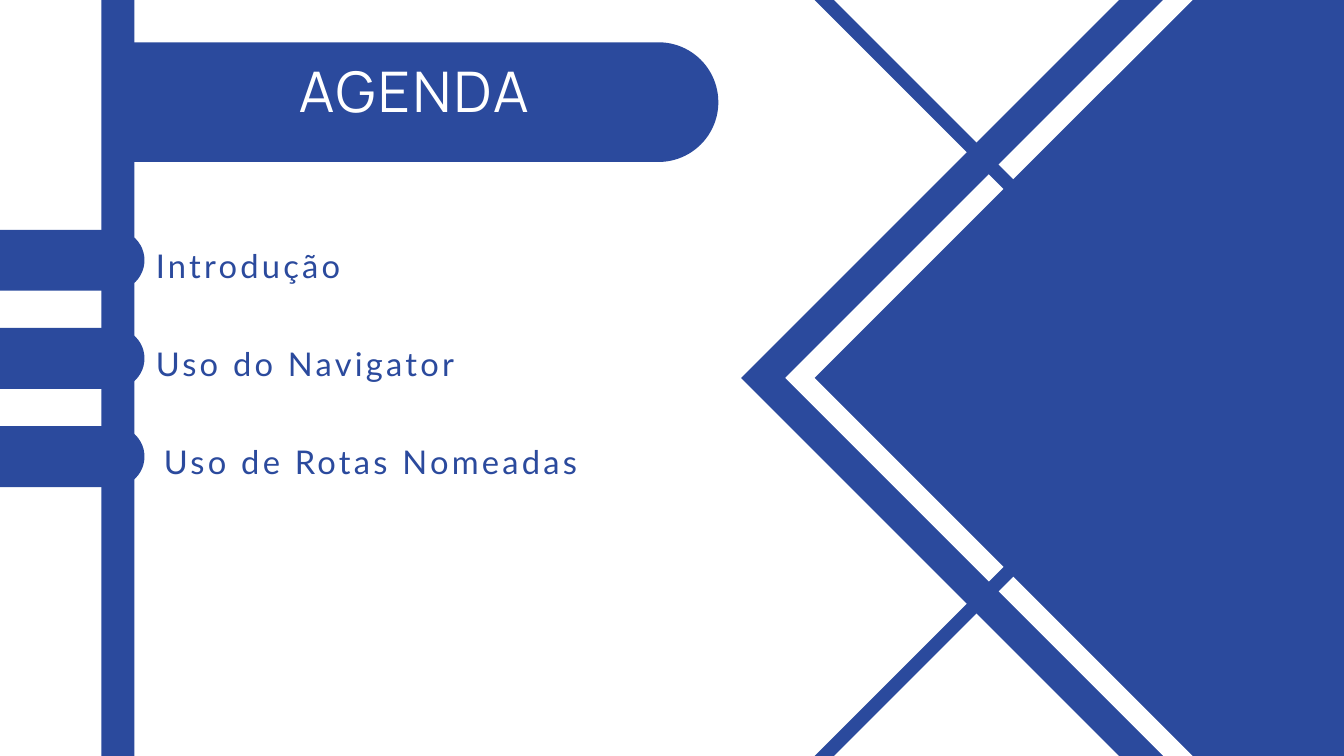
from pptx import Presentation
from pptx.dml.color import RGBColor
from pptx.enum.shapes import MSO_SHAPE
from pptx.enum.text import MSO_ANCHOR, MSO_AUTO_SIZE, PP_ALIGN
from pptx.util import Pt

BLUE = RGBColor(0x2B, 0x4A, 0x9D)
WHITE = RGBColor(0xFF, 0xFF, 0xFF)
RECT, FRAME = MSO_SHAPE.RECTANGLE, MSO_SHAPE.FRAME
PILL = MSO_SHAPE.ROUND_2_SAME_RECTANGLE
TOP, FIXED = MSO_ANCHOR.TOP, MSO_AUTO_SIZE.NONE
LEFT, CENTER = PP_ALIGN.LEFT, PP_ALIGN.CENTER

deck = Presentation()
deck.slide_width, deck.slide_height = Pt(1440), Pt(810)
slide = deck.slides.add_slide(deck.slide_layouts[5])
shapes = slide.shapes


def draw(kind, mid_x, mid_y, wide, high, turn, fill, adjust=()):
    shape = shapes.add_shape(kind, Pt(mid_x - wide / 2), Pt(mid_y - high / 2),
                             Pt(wide), Pt(high))
    shape.rotation = turn
    shape.shadow.inherit = False
    shape.fill.solid()
    shape.fill.fore_color.rgb = fill
    shape.line.fill.background()
    for spot, value in enumerate(adjust):
        shape.adjustments[spot] = value


def write(box, text, place, align, space, track, style):
    for name, value in zip(("left", "top", "width", "height"), place):
        setattr(box, name, Pt(value))
    frame = box.text_frame
    layout = {"word_wrap": True, "auto_size": FIXED, "vertical_anchor": TOP,
              "margin_left": 0, "margin_top": 0,
              "margin_right": 0, "margin_bottom": 0}
    for name, value in layout.items():
        setattr(frame, name, value)
    para = frame.paragraphs[0]
    para.alignment, para.line_spacing = align, Pt(space)
    run = para.add_run()
    run.text = text
    for name, value in style.items():
        setattr(run.font, name, value)
    run.font.color.rgb = WHITE if box == title else BLUE
    run._r.get_or_add_rPr().set("spc", str(track))


draw(RECT, 126.4, 405, 35.3, 810, 0, BLUE)
draw(RECT, 1360.8, 405, 801.4, 801.4, 315, BLUE)
draw(FRAME, 1364.2, 405, 739.4, 739.4, 45, WHITE, [0.03])
for mid in (876, -66):
    draw(FRAME, 1150, mid, 485.3, 485.3, 45, BLUE, [0.03])
draw(PILL, 456.5, 109.4, 128.2, 626.4, 270, BLUE, [0, 0.5])

title = shapes.title
shapes[-1].element.addnext(title.element)
write(title, "AGENDA", (167, 69.1, 553, 70.6), CENTER, 63, 300,
      {"name": "Manrope", "size": Pt(60)})

items = [("Introdução", 167), ("Uso do Navigator", 167),
         ("Uso de Rotas Nomeadas", 175.7)]
for row, (text, left) in enumerate(items):
    shift = row * 105.2
    draw(PILL, 77.4, 278.8 + shift, 65.2, 154.8, 270, BLUE, [0, 0.5])
    box = shapes.add_textbox(0, 0, 0, 0)
    write(box, text, (left, 256.3 + shift, 578, 44.6), LEFT, 49, 350,
          {"name": "Lato", "size": Pt(35)})

deck.save("out.pptx")
